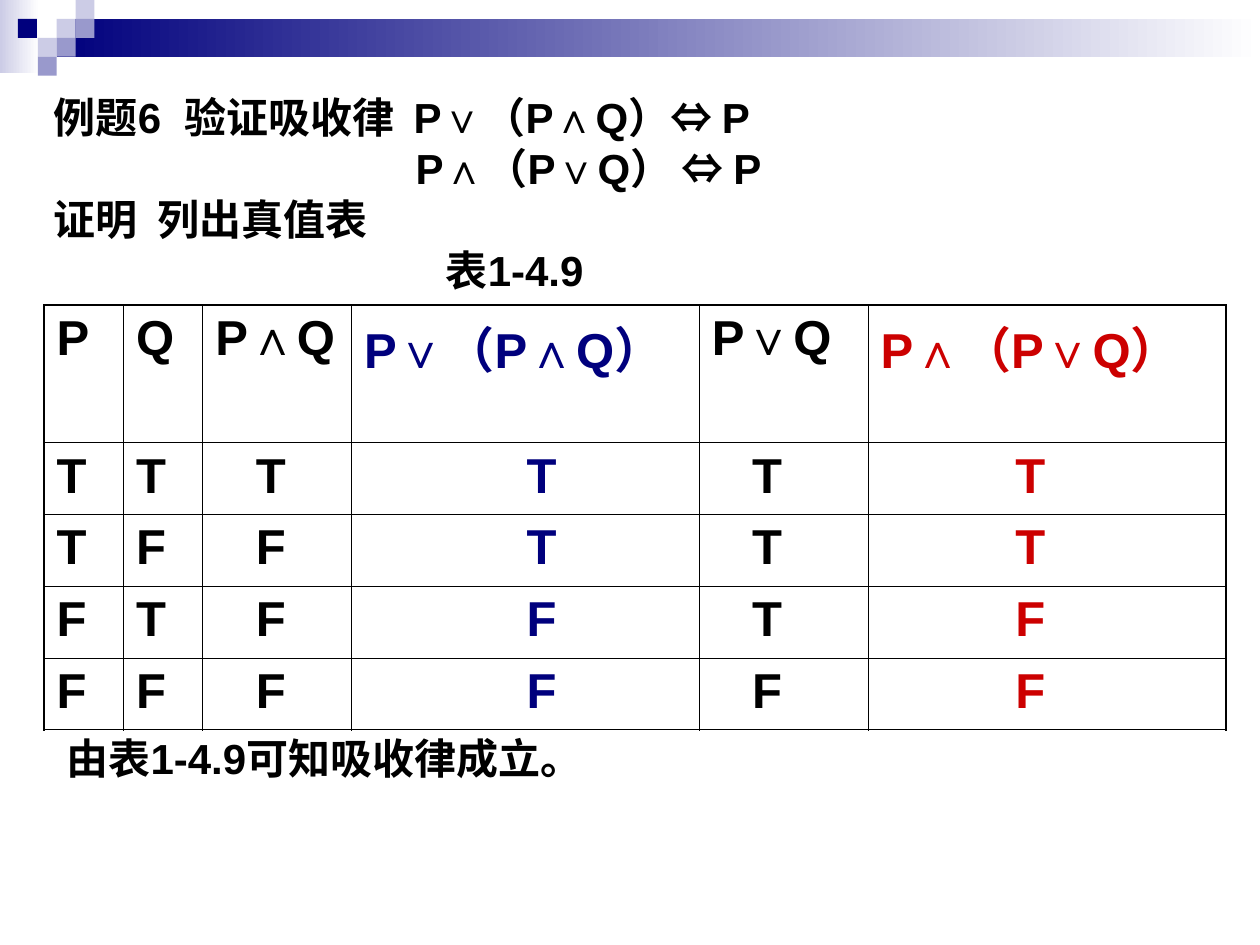
from dataclasses import dataclass
from typing import Optional

from lxml.etree import SubElement
from pptx import Presentation
from pptx.dml.color import RGBColor
from pptx.enum.shapes import MSO_SHAPE
from pptx.oxml.ns import qn
from pptx.util import Inches, Pt

COLORS = {
    "ink": "000000",
    "navy": "00007D",
    "red": "CC0000",
    "lilac": "CCCCE6",
    "violet": "9999CC",
    "white": "FFFFFF",
}
WIDTH, HEIGHT = 10, 7.5
UNIT = 0.15
THIN, THICK = 0.45, 1.08


@dataclass
class Tile:
    column: float
    row: float
    color: str
    columns: float = 1
    rows: float = 1
    fade_to: Optional[str] = None


@dataclass
class Frame:
    left: float
    top: float
    width: float
    height: float

    def lengths(self) -> tuple:
        return (Inches(self.left * WIDTH), Inches(self.top * HEIGHT),
                Inches(self.width * WIDTH), Inches(self.height * HEIGHT))


@dataclass
class Line:
    text: str
    margin: float = 0
    hanging: float = 0


@dataclass
class Column:
    width: float
    heading: str
    values: str
    margin: float = 0
    color: str = "ink"


TILES = [
    Tile(0, 0, "lilac", 2.07, 3.87, "white"),
    Tile(3, 1, "navy", 63.67, 2, "white"),
    Tile(3, 1, "lilac"),
    Tile(4, 0, "lilac"),
    Tile(4, 1, "violet"),
    Tile(2, 2, "lilac"),
    Tile(0.95, 1, "navy"),
    Tile(3, 2, "violet"),
    Tile(2, 3, "violet"),
]
INTRO = [
    Line("例题6  验证吸收律  P∨（P∧Q）⇔ P", 0.38, -0.38),
    Line("P∧（P∨Q） ⇔ P", 2.87),
    Line("证明  列出真值表", 0.38, -0.38),
    Line("表1-4.9", 3.11),
]
CONCLUSION = [Line("由表1-4.9可知吸收律成立。")]
TRUTH_TABLE = [
    Column(0.63, "P", "TTFF"),
    Column(0.63, "Q", "TFTF"),
    Column(1.18, "P∧Q", "TFFF", 0.32),
    Column(2.76, "P∨（P∧Q）", "TTFF", 1.29, "navy"),
    Column(1.34, "P∨Q", "TTTF", 0.32),
    Column(2.84, "P∧（P∨Q）", "TTFF", 1.07, "red"),
]
HEADER_HEIGHT, ROW_HEIGHT = 1.09, 0.57


def rgb(color: str) -> RGBColor:
    return RGBColor.from_string(COLORS[color])


def draw_tile(page, tile: Tile) -> None:
    cells = (tile.column, tile.row, tile.columns, tile.rows)
    box = page.shapes.add_shape(MSO_SHAPE.RECTANGLE, *(Inches(cell * UNIT) for cell in cells))
    box.shadow.inherit = False
    box.line.fill.background()
    if tile.fade_to:
        box.fill.gradient()
        box.fill.gradient_angle = 0
        for stop, color, position in zip(box.fill.gradient_stops, (tile.color, tile.fade_to), (0, 1)):
            stop.color.rgb = rgb(color)
            stop.position = position
    else:
        box.fill.solid()
        box.fill.fore_color.rgb = rgb(tile.color)


def write_line(para, line: Line, size: int, color: str = "ink") -> None:
    properties = para._p.get_or_add_pPr()
    properties.set("marL", str(Inches(line.margin)))
    properties.set("indent", str(Inches(line.hanging)))
    span = para.add_run()
    span.text = line.text
    for name, value in {"name": "Arial", "size": Pt(size), "bold": True}.items():
        setattr(span.font, name, value)
    span.font.color.rgb = rgb(color)


def draw_text(page, frame: Frame, lines: list[Line], para_format: dict) -> None:
    text = page.shapes.add_textbox(*frame.lengths()).text_frame
    text.word_wrap = True
    for index, line in enumerate(lines):
        para = text.add_paragraph() if index else text.paragraphs[0]
        for name, value in para_format.items():
            setattr(para, name, value)
        if index:
            para.space_before = Pt(6)
        write_line(para, line, 24)


def draw_borders(cell, widths: dict) -> None:
    properties = cell._tc.get_or_add_tcPr()
    for side, width in widths.items():
        border = SubElement(properties, qn(f"a:ln{side}"), w=str(Pt(width)))
        SubElement(SubElement(border, qn("a:solidFill")), qn("a:srgbClr"), val=COLORS["ink"])
    cell.fill.background()


def draw_table(page, frame: Frame, columns: list[Column]) -> None:
    row_count = len(columns[0].values) + 1
    table = page.shapes.add_table(row_count, len(columns), *frame.lengths()).table
    table.first_row = table.horz_banding = False
    for index, row in enumerate(table.rows):
        row.height = Inches(ROW_HEIGHT if index else HEADER_HEIGHT)
    for x, column in enumerate(columns):
        table.columns[x].width = Inches(column.width)
        for y, value in enumerate([column.heading, *column.values]):
            cell = table.cell(y, x)
            line = Line(value, column.margin if y else 0)
            write_line(cell.text_frame.paragraphs[0], line, 28, column.color)
            outer = {"L": x == 0, "R": x == len(columns) - 1, "T": y == 0, "B": y == row_count - 1}
            draw_borders(cell, {side: THICK if edge else THIN for side, edge in outer.items()})


def main() -> None:
    deck = Presentation()
    deck.slide_width, deck.slide_height = Inches(WIDTH), Inches(HEIGHT)
    page = deck.slides.add_slide(deck.slide_layouts[6])
    for tile in TILES:
        draw_tile(page, tile)
    draw_text(page, Frame(0.033, 0.101, 0.939, 0.231), INTRO, {"line_spacing": 0.8})
    draw_table(page, Frame(0.035, 0.323, 0.938, 0.45), TRUTH_TABLE)
    draw_text(page, Frame(0.043, 0.769, 0.685, 0.067), CONCLUSION, {})
    deck.save("out.pptx")


if __name__ == "__main__":
    main()
